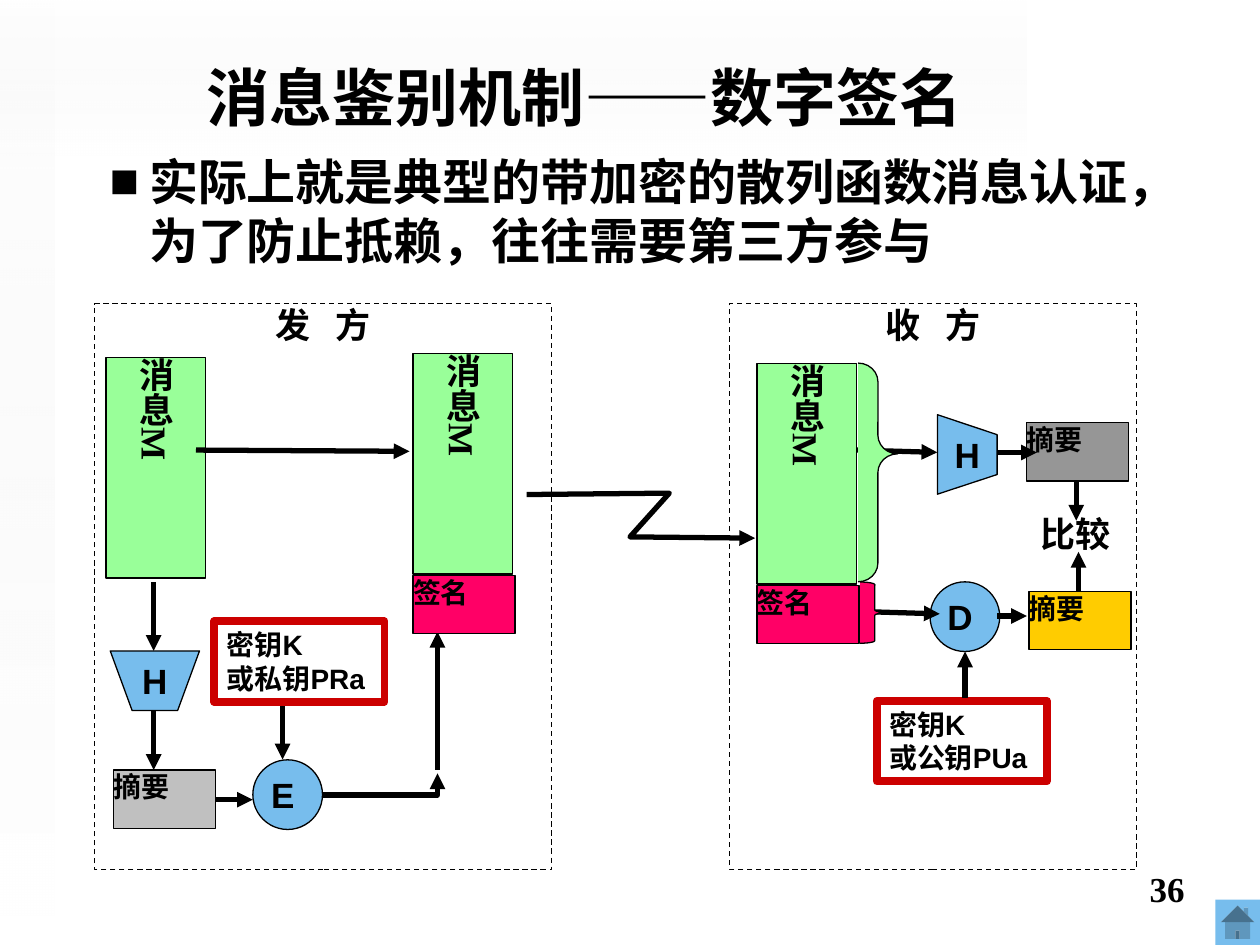
from dataclasses import dataclass

from lxml import etree
from pptx import Presentation, util as u
from pptx.dml.color import RGBColor
from pptx.enum import dml, shapes, text
from pptx.oxml.ns import qn

SHAPE, ANCHOR, ALIGN = shapes.MSO_SHAPE, text.MSO_ANCHOR, text.PP_ALIGN


@dataclass(frozen=True)
class Theme:
    sans: str = "Arial"
    serif: str = "Times New Roman"
    black: str = "000000"
    white: str = "FFFFFF"
    haze: str = "EAEAEA"
    blue: str = "77BDED"
    green: str = "99FF99"
    pink: str = "FF0066"
    red: str = "CC0000"
    yellow: str = "FFCC00"
    silver: str = "C0C0C0"
    grey: str = "969696"
    title: int = 36
    body: int = 28
    label: int = 20
    small: int = 16
    thin: float = 0.75
    thick: float = 3
    frame: float = 4.5


T = Theme()


def pts(*values):
    return [u.Pt(v) for v in values]


def rgb(value):
    return RGBColor.from_string(value)


def place(sp, box):
    sp.left, sp.top, sp.width, sp.height = pts(*box)


def add_run(p, words, size, font):
    r = p.add_run()
    r.text = words
    r.font.size, r.font.name, r.font.bold = u.Pt(size), font, True
    r.font.color.rgb = rgb(T.black)
    return r


def write(sp, lines, size, font, align=ALIGN.LEFT, anchor=ANCHOR.TOP,
          inset=(0, 0), wrap=True):
    tf = sp.text_frame
    tf.word_wrap, tf.vertical_anchor = wrap, anchor
    tf.auto_size = text.MSO_AUTO_SIZE.NONE
    tf.margin_left = tf.margin_right = u.Pt(inset[0])
    tf.margin_top = tf.margin_bottom = u.Pt(inset[1])
    for i, words in enumerate(lines):
        p = tf.add_paragraph() if i else tf.paragraphs[0]
        p.alignment = align
        add_run(p, words, size, font)
    return tf


def paint(sp, fill, line=T.black, width=T.thin):
    sp.shadow.inherit = False
    if fill:
        sp.fill.solid()
        sp.fill.fore_color.rgb = rgb(fill)
    else:
        sp.fill.background()
    if line:
        sp.line.color.rgb = rgb(line)
        sp.line.width = u.Pt(width)
    else:
        sp.line.fill.background()
    return sp


def add_box(s, box, fill, line=T.black, width=T.thin, kind=SHAPE.RECTANGLE):
    return paint(s.shapes.add_shape(kind, *pts(*box)), fill, line, width)


def add_outline(s, points, fill=None, width=T.thin, close=True):
    builder = s.shapes.build_freeform(*pts(*points[0]))
    builder.add_line_segments([pts(*xy) for xy in points[1:]], close=close)
    return paint(builder.convert_to_shape(), fill, T.black, width)


def add_arrowhead(sp):
    etree.SubElement(sp.line._get_or_add_ln(), qn("a:tailEnd"), type="triangle")


def add_arrow(s, x1, y1, x2, y2, kind=shapes.MSO_CONNECTOR.STRAIGHT):
    sp = s.shapes.add_connector(kind, *pts(x1, y1, x2, y2))
    sp.line.color.rgb = rgb(T.black)
    sp.line.width = u.Pt(T.thick)
    add_arrowhead(sp)
    etree.SubElement(sp._element.spPr, qn("a:effectLst"))
    return sp


def add_corner_arrow(s, *ends):
    """Arrow that runs level first and then turns once."""
    sp = add_arrow(s, *ends, kind=shapes.MSO_CONNECTOR.ELBOW)
    sp._element.spPr.find(qn("a:prstGeom")).set("prst", "bentConnector2")


def add_haze(s, box, rotation, angle, opacity):
    """Faint edge shade, placed behind everything, clear at its first stop."""
    sp = add_box(s, box, T.white, None)
    sp.rotation = rotation
    sp.fill.gradient()
    sp.fill.gradient_angle = angle
    stops = zip(sp.fill.gradient_stops, (T.haze, T.white), (0, opacity), (0, 1))
    for stop, colour, alpha, position in stops:
        stop.color.rgb, stop.position = rgb(colour), position
        clr = stop._gs.find(qn("a:srgbClr"))
        etree.SubElement(clr, qn("a:alpha"), val=str(alpha * 1000))
    s.shapes._spTree.insert(2, sp._element)


def add_party(s, box, first, second):
    sp = add_box(s, box, T.white)
    sp.line.dash_style = dml.MSO_LINE.DASH
    tf = write(sp, [first + " "], T.label, T.serif, ALIGN.CENTER)
    p = tf.paragraphs[0]
    p.runs[0].font._element.set("spc", "500")
    add_run(p, second, T.label, T.serif)


def add_message(s, left, top):
    sp = add_box(s, (left, top, 57, 126), T.green)
    tf = write(sp, ["消息M"], T.label, T.serif, ALIGN.CENTER, ANCHOR.MIDDLE)
    tf._txBody.bodyPr.set("vert", "eaVert")


def add_tag(s, left, top, words, fill):
    sp = add_box(s, (left, top, 58.3, 33.3), fill)
    write(sp, [words], T.small, T.serif)


def add_key(s, left, top, holder):
    sp = add_box(s, (left, top, 97.2, 46), T.white, T.red, T.frame)
    write(sp, ["密钥K", holder], T.small, T.sans, inset=(7.2, 3.6), wrap=False)


def add_cipher(s, left, top, letter):
    sp = add_box(s, (left, top, 39.8, 39.8), T.blue, kind=SHAPE.OVAL)
    write(sp, [letter + " "], T.label, T.sans, ALIGN.CENTER, ANCHOR.MIDDLE,
          (7.2, 3.6), False)


def add_hash(s, points):
    sp = add_outline(s, points, T.blue)
    write(sp, ["H"], T.label, T.sans, ALIGN.CENTER, ANCHOR.MIDDLE,
          (7.2, 3.6), False)


def add_brace(s, box, fill, curl, tip):
    sp = add_box(s, box, fill, kind=SHAPE.RIGHT_BRACE)
    sp.adjustments[0], sp.adjustments[1] = curl, tip


def add_heading(s):
    title, body = s.placeholders
    place(title, (19.5, 20, 629, 70))
    write(title, ["消息鉴别机制——数字签名"], T.title, T.sans, ALIGN.CENTER,
          ANCHOR.MIDDLE, (7.2, 3.6))
    place(body, (19.5, 83, 680, 385))
    tf = write(body, ["实际上就是典型的带加密的散列函数消息认证，为了防止抵赖，往往需要第三方参与"],
               T.body, T.sans, inset=(7.2, 3.6))
    p = tf.paragraphs[0]
    p.level = 1
    pPr = p._p.get_or_add_pPr()
    pPr.set("marL", str(u.Pt(58.5)))
    pPr.set("indent", str(u.Pt(-22.5)))
    colour = etree.SubElement(pPr, qn("a:buClr"))
    etree.SubElement(colour, qn("a:srgbClr"), val=T.black)
    etree.SubElement(pPr, qn("a:buFont"), typeface=T.sans)
    etree.SubElement(pPr, qn("a:buChar"), char="■")
    p.space_before = u.Pt(0)


def add_sender(s):
    add_arrow(s, 161.5, 394.5, 161.5, 434)
    add_cipher(s, 144.5, 434.2, "E")
    add_key(s, 122.5, 355, "或私钥PRa")
    add_arrow(s, 122, 457, 144.5, 457)
    add_message(s, 60.5, 204.3)
    add_arrow(s, 112, 257.2, 234, 257.9)
    add_arrow(s, 250, 440, 250, 361)
    add_tag(s, 236, 328.8, "签名", T.pink)
    add_message(s, 236, 202)
    add_tag(s, 65, 440, "摘要", T.silver)
    add_arrow(s, 87.8, 332.6, 87.8, 372)
    add_arrow(s, 87.8, 406, 87.8, 440)
    add_hash(s, [(63, 372), (114, 372), (101.5, 406), (75.5, 406)])
    add_corner_arrow(s, 184.3, 454.3, 250, 442)


def add_receiver(s):
    add_tag(s, 432.5, 334.6, "签名", T.pink)
    add_message(s, 432.5, 207.7)
    add_cipher(s, 531.5, 332.5, "D")
    add_key(s, 501, 400.5, "或公钥PUa")
    add_arrow(s, 551.5, 399, 551.5, 372.3)
    add_arrow(s, 490.5, 349.4, 537, 350.8)
    add_brace(s, (491.5, 332.6, 16.8, 35), T.pink, 0.09, 0.5)
    compare = add_box(s, (594.8, 293, 43, 50), T.white, None)
    write(compare, ["比较"], T.label, T.serif)
    add_arrow(s, 615, 270, 615, 297.5)
    add_arrow(s, 616.3, 342.7, 616.3, 315.4)
    add_tag(s, 588, 338, "摘要", T.yellow)
    add_arrow(s, 569.8, 352, 586.8, 352)
    add_arrow(s, 489.6, 257.2, 535.6, 258.5)
    add_brace(s, (490.3, 207.5, 22.7, 125), T.green, 0.47, 0.415)
    add_tag(s, 586.5, 241.5, "摘要", T.grey)
    add_arrow(s, 569.8, 258.6, 592.5, 258.6)
    add_hash(s, [(535.7, 282.4), (535.7, 237), (569.8, 248.4), (569.8, 271.2)])


def add_page_number(s):
    sp = s.shapes.add_textbox(*pts(516, 492, 168, 37))
    write(sp, ["36"], T.label, T.serif, ALIGN.RIGHT, inset=(7.2, 3.6))


def main():
    prs = Presentation()
    prs.slide_width, prs.slide_height = pts(720, 540)
    s = prs.slides.add_slide(prs.slide_layouts[1])
    add_heading(s)
    add_haze(s, (0, 0, 31, 523), 180, 90, 65)
    add_haze(s, (249, -249, 88.5, 587), 90, 0, 49)
    add_box(s, (694.5, 514, 25.5, 26), T.blue, None,
            kind=SHAPE.ACTION_BUTTON_HOME)
    add_party(s, (54, 173.5, 261.3, 323.4), "发", "方")
    add_party(s, (417, 173.5, 232.3, 323.4), "收", "方")
    zigzag = add_outline(s, [(301, 282.6), (382.5, 281.8), (360, 306.8), (431.5, 307.5)],
                         width=T.thick, close=False)
    add_arrowhead(zigzag)
    add_sender(s)
    add_receiver(s)
    add_page_number(s)
    prs.save("out.pptx")


if __name__ == "__main__":
    main()
